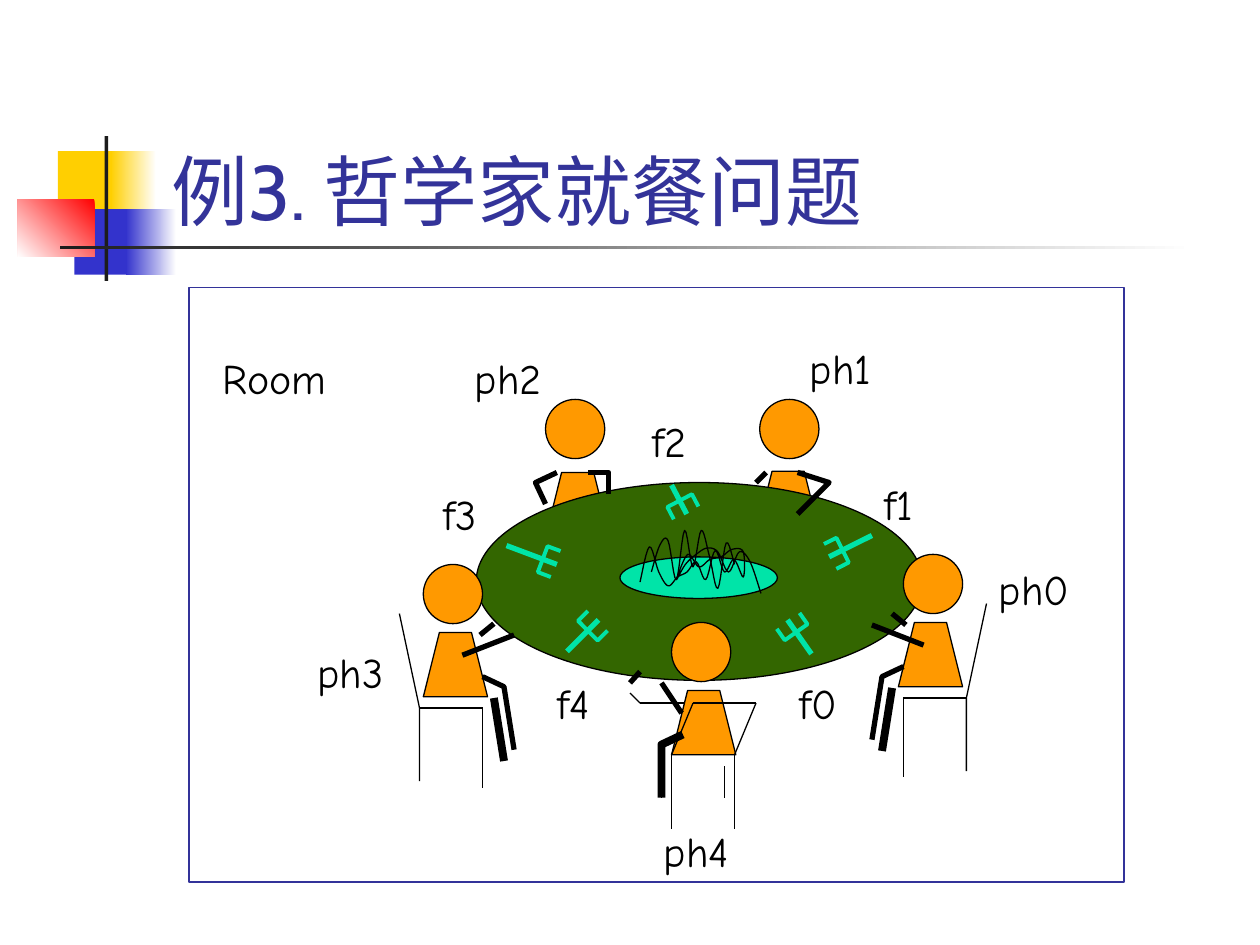
from math import hypot

from pptx import Presentation
from pptx import util as u
from pptx.dml.color import RGBColor
from pptx.enum import shapes, text
from pptx.oxml.ns import qn
from lxml import etree

PX = 9144
INK, NAVY, ORANGE, MINT = "000000", "333399", "FF9900", "00E4A8"
YELLOW, BLUE, RED, WHITE, DARK, GREEN = "FFCF01", "3333CC", "FF0000", "FFFFFF", "1C1C1C", "336600"
RECT, OVAL = shapes.MSO_SHAPE.RECTANGLE, shapes.MSO_SHAPE.OVAL
HEAD, TORSO = 47, 51
THIN, ARM, TINE, LEG = 0.75, 3, 2.25, 4.5
MIRROR_AXIS, MIRROR_RISE = 1100, 8

DECORATION = [
    ((46, 120, 48, 52), YELLOW, None),
    ((88, 120, 36, 52), (WHITE, YELLOW), 180),
    ((59, 166, 46, 52), BLUE, None),
    ((100, 166, 40, 52), (WHITE, BLUE), 180),
    ((14, 158, 61, 46), (RED, WHITE), 225),
    ((83, 108, 3, 115), DARK, None),
    ((48, 195, 900, 3), (WHITE, DARK), 180),
]
TITLE = ("例3. 哲学家就餐问题", (126, 67, 852, 125))
LABELS = {
    "Room": (167, 275), "ph0": (783, 442), "ph4": (517, 650), "ph3": (242, 508),
    "ph2": (367, 275), "ph1": (633, 267), "f0": (625, 533), "f4": (433, 533),
    "f3": (342, 383), "f2": (508, 325), "f1": (692, 375),
}
LABEL_WIDTHS = {4: 117, 3: 90, 2: 66}
SIDE_HEAD, SIDE_TORSO = (336, 448), (336, 502)
SIDE_CHAIR = [
    ([(317, 487), (333, 562), (333, 620)], THIN),
    ([(383, 562), (383, 625)], THIN),
    ([(333, 562), (383, 562)], THIN),
]
SIDE_LIMBS = [
    ([(392, 554), (400, 604)], LEG),
    ([(383, 537), (400, 545), (408, 595)], ARM),
    ([(367, 520), (408, 504)], ARM),
    ([(381, 504), (392, 495)], ARM),
]
FRONT_FAR = [
    ([(508, 558), (558, 558)], THIN),
    ([(500, 550), (508, 558)], THIN),
    ([(508, 533), (500, 542)], ARM),
]
FRONT_HEAD, FRONT_TORSO = (533, 494), (533, 548)
FRONT_CHAIR = [([(550, 558), (600, 558)], THIN)]
for x in (533, 583):
    FRONT_CHAIR += [([(x, 599), (x, 658)], THIN), ([(x, 599), (x + 17, 558)], THIN)]
FRONT_LIMBS = [
    ([(525, 599), (525, 633)], THIN),
    ([(575, 608), (575, 633)], THIN),
    ([(525, 542), (541, 566)], ARM),
    ([(542, 583), (525, 591), (525, 633)], LEG),
]
BACK_TORSOS = [(433, 375), (600, 374)]
BACK_HEADS = [(603, 317), (433, 317)]
BACK_ARMS = [
    ([(633, 375), (658, 383), (633, 408)], ARM),
    ([(608, 375), (600, 383)], ARM),
    ([(442, 375), (425, 383), (433, 400)], ARM),
    ([(467, 375), (483, 375), (483, 392)], ARM),
]
FORK_HANDLES = [
    [(475, 492), (450, 517)], [(625, 492), (644, 519)], [(658, 442), (692, 425)],
    [(545, 408), (533, 385)], [(442, 448), (402, 433)],
]
FORK_INSET, FORK_HALF_WIDTH, PRONG = 12, 11, 11
SPAGHETTI = [
    [(517, 583, (454, 433, 429, 460, 421, 450, 421, 442, 467, 431, 448))],
    [(508, 590, (462, 434, 454, 465, 458, 454, 446, 460, 437, 454, 444, 458)),
     (590, 537, (438, 436, 442, 444, 450, 440, 460)),
     (544, 604, (448, 440, 435, 438, 454, 438, 446, 471))],
]

presentation = Presentation()
presentation.slide_width, presentation.slide_height = 1000 * PX, 750 * PX
slide = presentation.slides.add_slide(presentation.slide_layouts[6])


def rgb(value):
    return RGBColor.from_string(value)


def emu(values):
    return [round(value * PX) for value in values]


def paint(shape, fill=None, line=None, width=THIN, angle=None):
    shape.shadow.inherit = False
    if angle is not None:
        shape.fill.gradient()
        shape.fill.gradient_angle = angle
        for stop, color in zip(shape.fill.gradient_stops, fill):
            stop.color.rgb = rgb(color)
    elif fill:
        shape.fill.solid()
        shape.fill.fore_color.rgb = rgb(fill)
    else:
        shape.fill.background()
    if line:
        shape.line.color.rgb = rgb(line)
        shape.line.width = u.Pt(width)
    else:
        shape.line.fill.background()


def add_preset(kind, box, fill=None, line=None, angle=None):
    paint(slide.shapes.add_shape(kind, *emu(box)), fill, line, angle=angle)


def add_outline(points, fill=None, line=INK, width=THIN, close=False):
    start, *rest = [emu(point) for point in points]
    builder = slide.shapes.build_freeform(*start)
    builder.add_line_segments(rest, close=close)
    paint(builder.convert_to_shape(), fill, line, width)


def add_stroke(points, width, color=INK):
    if len(points) > 2:
        add_outline(points, line=color, width=width)
        return
    ends = emu(points[0]) + emu(points[1])
    connector = slide.shapes.add_connector(shapes.MSO_CONNECTOR.STRAIGHT, *ends)
    connector.line.color.rgb = rgb(color)
    connector.line.width = u.Pt(width)
    etree.SubElement(connector._element.spPr, qn("a:effectLst"))


def add_torso(x, y):
    bottom, inset = y + TORSO, TORSO / 4
    add_outline([(x, bottom), (x + TORSO, bottom), (x + TORSO - inset, y), (x + inset, y)],
                ORANGE, close=True)


def add_head(x, y):
    add_preset(OVAL, (x, y, HEAD, HEAD), ORANGE, INK)


def add_strokes(strokes, place=lambda x, y: (x, y)):
    for points, width in strokes:
        add_stroke([place(*point) for point in points], width)


def add_side_philosopher(mirrored):
    def place(x, y, width=0):
        return (MIRROR_AXIS - x - width, y - MIRROR_RISE) if mirrored else (x, y)

    add_strokes(SIDE_CHAIR, place)
    add_torso(*place(*SIDE_TORSO, TORSO))
    add_head(*place(*SIDE_HEAD, HEAD))
    add_strokes(SIDE_LIMBS, place)


def add_fork(tip, end):
    length = hypot(tip[0] - end[0], tip[1] - end[1])
    dx, dy = [(a - b) / length for a, b in zip(tip, end)]

    def place(along, across):
        return tip[0] + along * dx - across * dy, tip[1] + along * dy + across * dx

    prong_end = PRONG - FORK_INSET
    corners = [(prong_end, -1), (-FORK_INSET, -1), (-FORK_INSET, 1), (prong_end, 1)]
    add_stroke([tip, end], ARM, MINT)
    add_stroke([place(along, side * FORK_HALF_WIDTH) for along, side in corners], TINE, MINT)


def smooth(points, steps=6):
    padded = [points[0], *points, points[-1]]
    curve = [points[0]]
    for a, b, c, d in zip(padded, padded[1:], padded[2:], padded[3:]):
        for step in range(1, steps + 1):
            t = step / steps
            curve.append(tuple(
                q + t * (r - p + t * (2 * p - 5 * q + 4 * r - s + t * (3 * (q - r) + s - p))) / 2
                for p, q, r, s in zip(a, b, c, d)))
    return curve


def add_strand(passes):
    points = []
    for left, right, heights in passes:
        gap = (right - left) / (len(heights) - 1)
        points += [(left + index * gap, y) for index, y in enumerate(heights)]
    add_outline(smooth(points))


def add_text(words, box, font, size, color, frame_format, before=0):
    frame = slide.shapes.add_textbox(*emu(box)).text_frame
    for name, value in frame_format.items():
        setattr(frame, name, value)
    paragraph = frame.paragraphs[0]
    paragraph.space_before = u.Pt(before)
    run = paragraph.add_run()
    run.text = words
    for name, value in {"name": font, "size": u.Pt(size)}.items():
        setattr(run.font, name, value)
    run.font.color.rgb = rgb(color)


for box, fill, angle in DECORATION:
    add_preset(RECT, box, fill, angle=angle)
add_preset(RECT, (150, 228, 742, 472), line=NAVY)
for torso in BACK_TORSOS:
    add_torso(*torso)
add_text(*TITLE, "Cabin", 44, NAVY,
         {"word_wrap": True, "vertical_anchor": text.MSO_ANCHOR.BOTTOM})
add_preset(OVAL, (378, 383, 354, 157), GREEN, INK)
for mirrored in (False, True):
    add_side_philosopher(mirrored)
add_strokes(FRONT_FAR)
add_torso(*FRONT_TORSO)
add_strokes(FRONT_CHAIR)
add_head(*FRONT_HEAD)
add_strokes(FRONT_LIMBS)
for head in BACK_HEADS:
    add_head(*head)
add_strokes(BACK_ARMS)
add_preset(OVAL, (492, 442, 125, 33), MINT, INK)
for strand in SPAGHETTI:
    add_strand(strand)
for words, (x, y) in LABELS.items():
    add_text(words, (x, y, LABEL_WIDTHS[len(words)], 50), "Comic Neue", 24, INK,
             {"word_wrap": True, "auto_size": text.MSO_AUTO_SIZE.SHAPE_TO_FIT_TEXT}, 15)
for handle in FORK_HANDLES:
    add_fork(*handle)

presentation.save("out.pptx")
